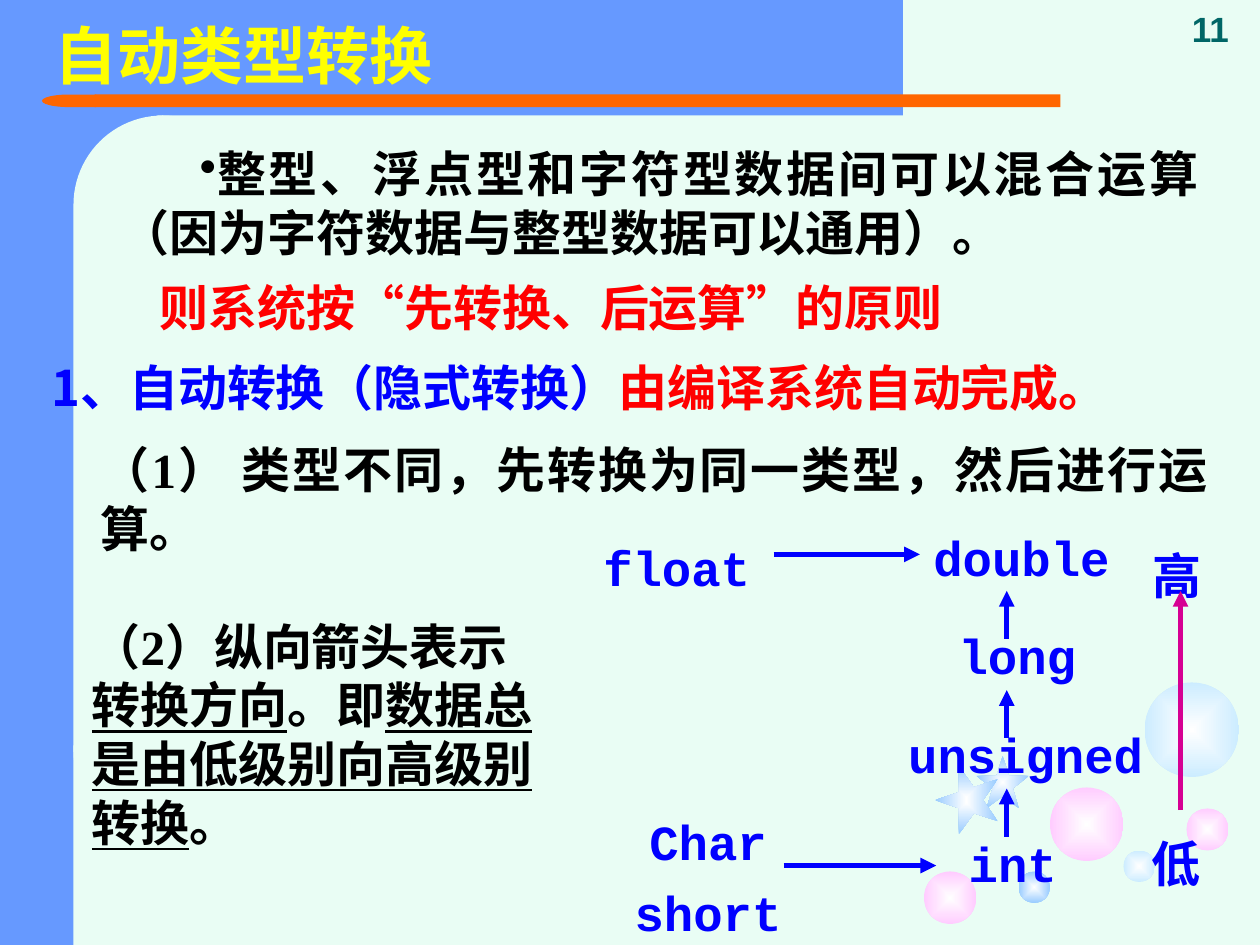
from lxml.etree import SubElement
from pptx import Presentation
from pptx.dml.color import RGBColor
from pptx.enum.shapes import MSO_CONNECTOR, MSO_SHAPE
from pptx.enum.text import MSO_ANCHOR, MSO_AUTO_SIZE, PP_ALIGN
from pptx.oxml.ns import qn
from pptx.util import Pt

HUES = {
    "mint": "E9FDF4", "sky": "6699FF", "orange": "FF6600", "white": "FFFFFF",
    "pink": "FFCCFF", "pale": "CCECFF", "azure": "99CCFF", "plum": "D60093",
    "blue": "0000FF", "red": "FF0000", "black": "000000", "yellow": "FFFF00",
    "teal": "006666",
}
RGB = {name: RGBColor.from_string(code) for name, code in HUES.items()}
HAN = "Noto Sans CJK SC"
MONO = "Courier New"
SERIF = "Times New Roman"

deck = Presentation()
deck.slide_width, deck.slide_height = Pt(720), Pt(540)
slide = deck.slides.add_slide(deck.slide_layouts[6])
slide.background.fill.solid()
slide.background.fill.fore_color.rgb = RGB["mint"]


def add_form(kind, box, hue, glow=False):
    """Add a borderless shape, plain or with a white centre."""
    form = slide.shapes.add_shape(kind, *map(Pt, box))
    form.shadow.inherit = False
    form.line.fill.background()
    if not glow:
        form.fill.solid()
        form.fill.fore_color.rgb = RGB[hue]
        return form
    form.fill.gradient()
    for stop, name in zip(form.fill.gradient_stops, ("white", hue)):
        stop.color.rgb = RGB[name]
    grad = form._element.spPr.find(qn("a:gradFill"))
    grad.remove(grad.find(qn("a:lin")))
    path = SubElement(grad, qn("a:path"), path="rect")
    SubElement(path, qn("a:fillToRect"), l="50000", t="50000", r="50000", b="50000")
    return form


def add_words(box, lines, font, size=28, align=None, wrap=True):
    """Add a text box; each line is a list of (text, colour, underline)."""
    area = slide.shapes.add_textbox(*map(Pt, box))
    frame = area.text_frame
    frame.word_wrap = wrap
    frame.auto_size = MSO_AUTO_SIZE.SHAPE_TO_FIT_TEXT
    for i, parts in enumerate(lines):
        para = frame.add_paragraph() if i else frame.paragraphs[0]
        para.alignment = align
        if i:
            para.space_before = Pt(7)
        for text, hue, under in parts:
            run = para.add_run()
            run.text = text
            run.font.name = font
            run.font.size = Pt(size)
            run.font.bold = True
            run.font.color.rgb = RGB[hue]
            if under:
                run.font.underline = True
            SubElement(run.font._element, qn("a:ea"), typeface=HAN)
    return frame


# Side band, top band and the rounded panel edge
add_form(MSO_SHAPE.RECTANGLE, (0, 0, 90, 540), "sky")
add_form(MSO_SHAPE.RECTANGLE, (36, 0, 480, 66), "sky")
panel = add_form(MSO_SHAPE.ROUNDED_RECTANGLE, (42, 66, 102, 414), "mint")
panel.adjustments[0] = 0.5

# Title rule with its round end
add_form(MSO_SHAPE.RECTANGLE, (54, 54, 552, 7.2), "orange")
cap = add_form(MSO_SHAPE.FLOWCHART_DELAY, (24, 54, 31, 7.2), "orange")
cap.rotation = 180
add_form(MSO_SHAPE.RECTANGLE, (42, 426, 102, 114), "mint")

# Bubbles and stars
for x, y, size, hue in (
    (600, 450, 42, "pink"), (528, 498, 30, "pink"), (642, 486, 18, "pale"),
    (678, 462, 24, "pink"), (654, 390, 54, "pale"), (582, 498, 18, "azure"),
):
    add_form(MSO_SHAPE.OVAL, (x, y, size, size), hue, True)
add_form(MSO_SHAPE.STAR_5_POINT, (558, 432, 30, 30), "azure", True)
star = add_form(MSO_SHAPE.STAR_5_POINT, (532.8, 439.2, 38.9, 36), "azure", True)
star.rotation = 270

# Type names
for text, x, y, width in (
    ("float", 337.7, 303.8, 98.6), ("double", 526.3, 298.1, 154.1),
    ("long", 540.7, 354.2, 113), ("unsigned", 511.9, 410.4, 151.2),
    ("int", 546.5, 473, 86.4), ("低", 650.9, 473, 46.1), ("高", 651.6, 308.2, 51.1),
):
    add_words((x, y, width, 41), [[(text, "blue", False)]], MONO)
add_words((337.7, 460.1, 133.9, 81.4),
          [[("Char", "blue", False)], [("short", "blue", False)]],
          MONO, align=PP_ALIGN.CENTER)

# Arrows
rises = [(575.3, y + 27.4, 575.3, y, "blue") for y in (337.7, 394.3, 450.7)]
for x1, y1, x2, y2, hue in rises + [
    (674.6, 463, 674.6, 337.7, "plum"),
    (447.8, 494.6, 535, 494.6, "blue"), (442.1, 316.8, 525.6, 316.8, "blue"),
]:
    arrow = slide.shapes.add_connector(MSO_CONNECTOR.STRAIGHT, *map(Pt, (x1, y1, x2, y2)))
    arrow.line.color.rgb = RGB[hue]
    arrow.line.width = Pt(3)
    SubElement(arrow.line._get_or_add_ln(), qn("a:tailEnd"), type="triangle")
    SubElement(arrow._element.spPr, qn("a:effectLst"))

# Title and page number
add_words((24, 6, 230.4, 50.4), [[("自动类型转换", "yellow", False)]], HAN, 36, wrap=False)
page = add_words((674, 0, 46, 31.7), [[("11", "teal", False)]], "Arial", 20)
page.vertical_anchor = MSO_ANCHOR.BOTTOM

# Bulleted lead
lead = add_words(
    (62, 78.5, 630, 75),
    [[("整型、浮点型和字符型数据间可以混合运算（因为字符数据与整型数据可以通用）。", "black", False)]],
    HAN, align=PP_ALIGN.JUSTIFY)
props = lead.paragraphs[0]._p.get_or_add_pPr()
props.set("marL", "0")
props.set("indent", str(Pt(45)))
tint = SubElement(props, qn("a:buClr"))
SubElement(tint, qn("a:srgbClr"), val=HUES["black"])
SubElement(props, qn("a:buChar"), char="•")

# Body text
for box, parts, font, align in (
    ((50.4, 247.7, 646.6, 75),
     [("（1） 类型不同，先转换为同一类型，然后进行运算。", "black", False)],
     SERIF, PP_ALIGN.JUSTIFY),
    ((84.2, 154.8, 573.8, 41),
     [("则系统按“先转换、后运算”的原则", "red", False)], HAN, PP_ALIGN.JUSTIFY),
    ((22.3, 200.9, 686.2, 41),
     [("1、自动转换（隐式转换）", "blue", False), ("由编译系统自动完成。", "red", False)],
     HAN, PP_ALIGN.JUSTIFY),
    ((45.4, 348.5, 275.8, 141.8),
     [("（2）纵向箭头表示", "black", False), ("转换方向", "black", True),
      ("。即", "black", False), ("数据总是由低级别向高级别转换", "black", True),
      ("。", "black", False)], SERIF, None),
):
    add_words(box, [parts], font, align=align)

deck.save("out.pptx")
